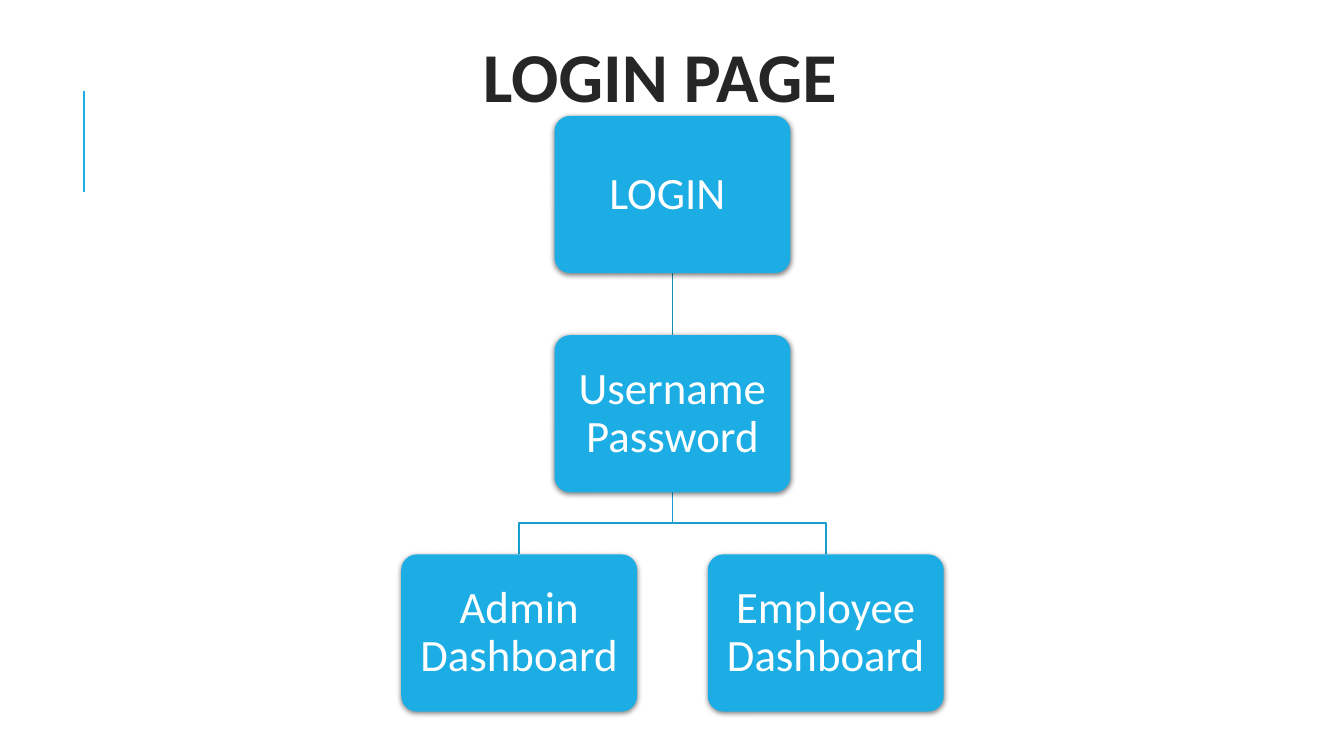
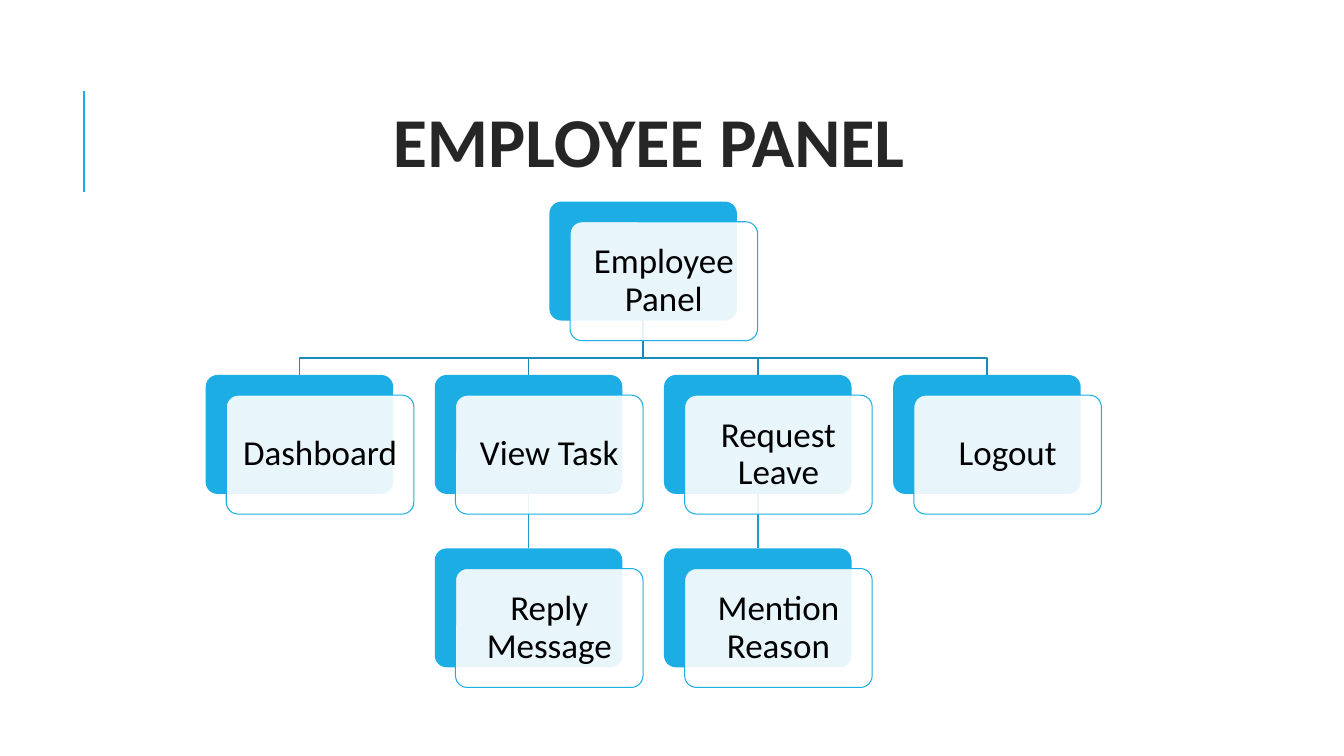
"""Build two tree-diagram slides: the login flow and the employee panel."""
import dataclasses

import lxml.etree
import pptx
import pptx.dml.color
import pptx.enum.shapes
import pptx.enum.text
import pptx.oxml.ns
import pptx.util

Inches, Pt = pptx.util.Inches, pptx.util.Pt
qn = pptx.oxml.ns.qn


@dataclasses.dataclass(frozen=True)
class Theme:
    font: str = "Calibri"
    accent: str = "1CADE4"
    ink: str = "262626"
    black: str = "000000"
    white: str = "FFFFFF"
    links: tuple = ("168BB7", "199DCF")
    title_size: float = 50
    title_outline: float = 1.06
    rule_width: float = 1.5
    link_width: float = 1.25
    card_line: float = 0.75
    corner: float = 0.1


THEME = Theme()
SLIDE_SIZE = (13.33, 7.5)
TITLE_SIZE = (10.63, 1.64)
RULE = (0.83, 0.9, 0.83, 1.9)

# Each node: name -> (text, column, row, parent name)
DIAGRAMS = [
    {
        "title": "LOGIN PAGE", "title_at": (1.23, 0), "style": "solid",
        "origin": (3.98, 1.15), "pitch": (3.04, 2.175), "node": (2.34, 1.56),
        "bus_rise": 0.31, "text_size": 32, "inset": 0.13,
        "nodes": {
            "login": ("LOGIN ", 0.5, 0, None),
            "credentials": ("Username Password", 0.5, 1, "login"),
            "admin": ("Admin Dashboard", 0, 2, "credentials"),
            "employee": ("Employee Dashboard", 1, 2, "credentials"),
        },
    },
    {
        "title": "EMPLOYEE PANEL", "title_at": (1.12, 0.64), "style": "layered",
        "origin": (2.04, 2), "pitch": (2.273, 1.72), "node": (1.86, 1.18),
        "bus_rise": 0.17, "text_size": 25, "inset": 0.1, "offset": (0.205, 0.2),
        "nodes": {
            "panel": ("Employee Panel", 1.5, 0, None),
            "dashboard": ("Dashboard", 0, 1, "panel"),
            "task": ("View Task", 1, 1, "panel"),
            "reply": ("Reply Message", 1, 2, "task"),
            "leave": ("Request Leave", 2, 1, "panel"),
            "reason": ("Mention Reason", 2, 2, "leave"),
            "logout": ("Logout", 3, 1, "panel"),
        },
    },
]


def rgb(value):
    return pptx.dml.color.RGBColor.from_string(value)


def write(shape, text, *, size, color, bold=False, spacing=0.9, inset=None):
    frame = shape.text_frame
    frame.word_wrap = True
    frame.auto_size = pptx.enum.text.MSO_AUTO_SIZE.NONE
    frame.vertical_anchor = pptx.enum.text.MSO_ANCHOR.MIDDLE
    if inset is not None:
        for side in ("left", "right", "top", "bottom"):
            setattr(frame, f"margin_{side}", Inches(inset))
    para = frame.paragraphs[0]
    para.alignment = pptx.enum.text.PP_ALIGN.CENTER
    para.line_spacing = spacing
    span = para.add_run()
    span.text = text
    span.font.name, span.font.size, span.font.bold = THEME.font, Pt(size), bold
    span.font.color.rgb = rgb(color)
    return span


def add_line(page, x1, y1, x2, y2, *, color, width):
    line = page.shapes.add_connector(
        pptx.enum.shapes.MSO_CONNECTOR.STRAIGHT, *map(Inches, (x1, y1, x2, y2)))
    line.line.color.rgb = rgb(color)
    line.line.width = Pt(width)
    lxml.etree.SubElement(line.element.spPr, qn("a:effectLst"))
    return line


def add_link(page, start, end, *, bus_rise, color):
    (x1, y1), (x2, y2) = start, end
    if x1 == x2:
        add_line(page, x1, y1, x2, y2, color=color, width=THEME.link_width)
        return
    bus = y2 - bus_rise
    builder = page.shapes.build_freeform(Inches(x1), Inches(y1))
    corners = [(x1, bus), (x2, bus), (x2, y2)]
    builder.add_line_segments([(Inches(x), Inches(y)) for x, y in corners], close=False)
    link = builder.convert_to_shape()
    link.shadow.inherit = False
    link.fill.background()
    link.line.color.rgb = rgb(color)
    link.line.width = Pt(THEME.link_width)


def add_box(page, left, top, size, *, fill, opacity=100, line=None, shadow=False):
    box = page.shapes.add_shape(
        pptx.enum.shapes.MSO_SHAPE.ROUNDED_RECTANGLE, *map(Inches, (left, top, *size)))
    box.adjustments[0] = THEME.corner
    box.shadow.inherit = False
    box.fill.solid()
    box.fill.fore_color.rgb = rgb(fill)
    properties = box.element.spPr
    if opacity < 100:
        tint = properties.find(qn("a:solidFill")).find(qn("a:srgbClr"))
        lxml.etree.SubElement(tint, qn("a:alpha"), val=str(opacity * 1000))
    if line:
        box.line.color.rgb = rgb(line)
        box.line.width = Pt(THEME.card_line)
    else:
        box.line.fill.background()
    if shadow:
        outer = lxml.etree.SubElement(
            properties.find(qn("a:effectLst")), qn("a:outerShdw"), blurRad=str(Pt(4)),
            dist=str(Pt(1)), dir=str(90 * 60000), rotWithShape="0")
        shade = lxml.etree.SubElement(outer, qn("a:srgbClr"), val=THEME.black)
        lxml.etree.SubElement(shade, qn("a:alpha"), val="50000")
    return box


def add_node(page, diagram, text, left, top):
    size = diagram["node"]
    layered = diagram["style"] == "layered"
    box = add_box(page, left, top, size, fill=THEME.accent, shadow=not layered)
    if layered:
        right, down = diagram["offset"]
        box = add_box(page, left + right, top + down, size,
                      fill=THEME.white, opacity=90, line=THEME.accent)
    write(box, text, size=diagram["text_size"], inset=diagram["inset"],
          color=THEME.black if layered else THEME.white)


def add_title(page, text, at):
    title = page.shapes.title
    title.left, title.top, title.width, title.height = map(Inches, (*at, *TITLE_SIZE))
    span = write(title, text, size=THEME.title_size, color=THEME.ink, bold=True, spacing=0.8)
    outline = lxml.etree.Element(qn("a:ln"), w=str(Pt(THEME.title_outline)))
    paint = lxml.etree.SubElement(outline, qn("a:solidFill"))
    lxml.etree.SubElement(paint, qn("a:srgbClr"), val=THEME.white)
    span.font.fill.solid()
    span.font.color.rgb = rgb(THEME.ink)
    title.text_frame.paragraphs[0].runs[0].font.language_id = None
    span_properties = next(title.element.iter(qn("a:rPr")))
    span_properties.insert(0, outline)


def add_tree(page, diagram):
    (x0, y0), (dx, dy) = diagram["origin"], diagram["pitch"]
    width, height = diagram["node"]
    nodes = diagram["nodes"]
    places = {name: (x0 + column * dx, y0 + row * dy)
              for name, (_, column, row, _) in nodes.items()}
    for name, (_, _, _, parent) in nodes.items():
        if parent:
            (parent_left, parent_top), (left, top) = places[parent], places[name]
            add_link(page, (parent_left + width / 2, parent_top + height),
                     (left + width / 2, top), bus_rise=diagram["bus_rise"],
                     color=THEME.links[nodes[parent][2]])
    for name, (text, *_) in nodes.items():
        add_node(page, diagram, text, *places[name])


def main():
    deck = pptx.Presentation()
    deck.slide_width, deck.slide_height = map(Inches, SLIDE_SIZE)
    layout = deck.slide_layouts.get_by_name("Title Only")
    pages = [deck.slides.add_slide(layout) for _ in DIAGRAMS]
    rule = add_line(pages[0], *RULE, color=THEME.accent, width=THEME.rule_width)
    layout.element.cSld.spTree.append(rule.element)
    for page, diagram in zip(pages, DIAGRAMS):
        add_title(page, diagram["title"], diagram["title_at"])
        add_tree(page, diagram)
    deck.save("out.pptx")


main()
